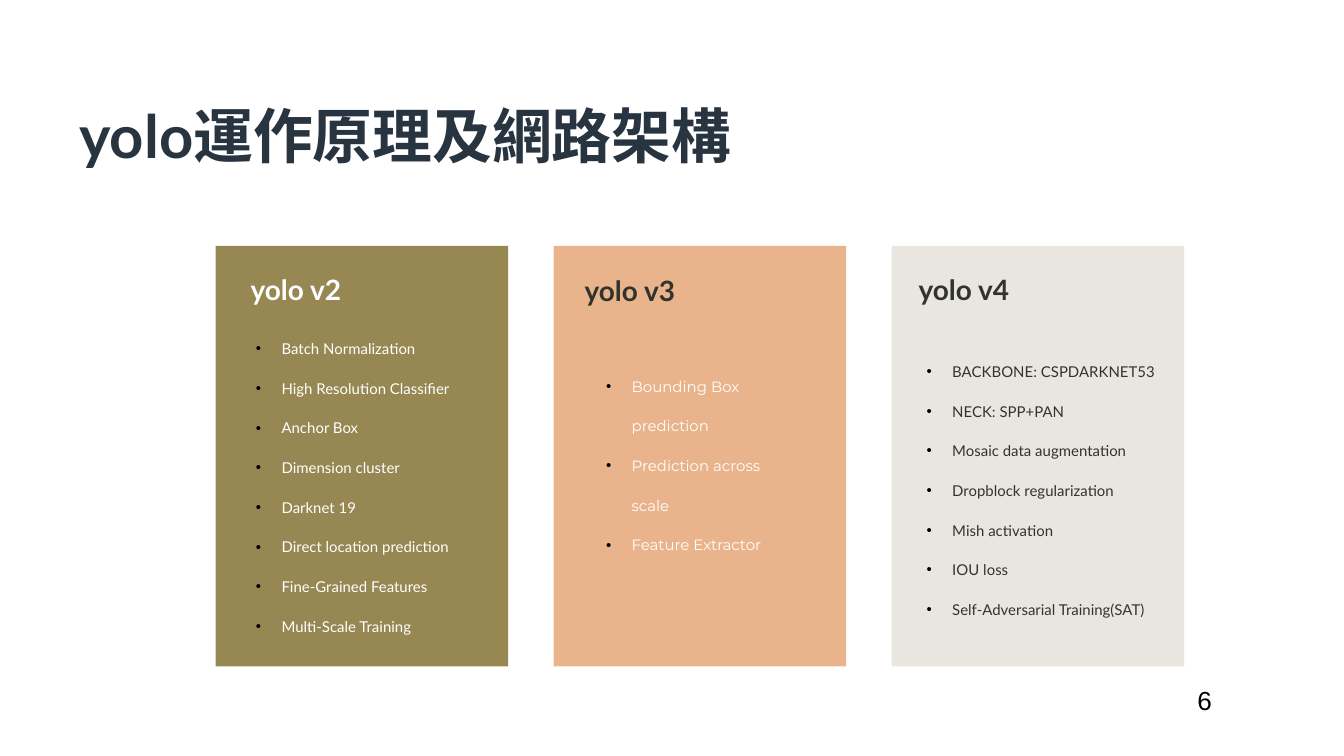
from dataclasses import dataclass

from lxml import etree
from pptx import Presentation
from pptx.dml import color
from pptx.enum import shapes, text
from pptx.oxml import ns
from pptx.util import Emu, Pt

EMU_PER_PX = 4572  # 200 px to the inch
CARD_LEFT, CARD_TOP, CARD_WIDTH, CARD_HEIGHT, CARD_STEP = 321, 366, 435, 626, 503
HEADING_WIDTH, HEADING_HEIGHT = 360, 66
WHITE, DARK, NAVY, BLACK = "FFFFFF", "31342D", "283440", "000000"


@dataclass(frozen=True)
class Area:
    left: int
    top: int
    width: int
    height: int


@dataclass(frozen=True)
class Style:
    size: int
    colour: str
    font: str = "Lato"
    bold: bool = False


@dataclass(frozen=True)
class Card:
    fill: str
    opacity: int
    heading: str
    heading_left: int
    heading_top: int
    heading_colour: str
    list_area: Area
    list_style: Style
    items: tuple[str, ...]


CARDS = (
    Card("978753", 100, "yolo v2", 359, 398, WHITE, Area(359, 465, 378, 494),
         Style(8, WHITE),
         ("Batch Normalization", "High Resolution Classifier", "Anchor Box",
          "Dimension cluster", "Darknet 19", "Direct location prediction",
          "Fine-Grained Features", "Multi-Scale Training")),
    Card("E9B48B", 100, "yolo v3", 856, 399, DARK, Area(880, 521, 314, 314),
         Style(8, WHITE, "Montserrat"),
         ("Bounding Box prediction", "Prediction across scale", "Feature Extractor")),
    Card("D4CFC3", 50, "yolo v4", 1353, 398, DARK, Area(1357, 499, 378, 434),
         Style(8, DARK),
         ("BACKBONE: CSPDARKNET53", "NECK: SPP+PAN", "Mosaic data augmentation",
          "Dropblock regularization", "Mish activation", "IOU loss",
          "Self-Adversarial Training(SAT)")),
)


def px(length: int) -> Emu:
    return Emu(length * EMU_PER_PX)


def rgb(value: str) -> color.RGBColor:
    return color.RGBColor.from_string(value)


def place(area: Area) -> tuple[Emu, ...]:
    return px(area.left), px(area.top), px(area.width), px(area.height)


def add_bullet(para) -> None:
    """Give the paragraph a black bullet, a hanging indent and wide lines."""
    properties = para._p.get_or_add_pPr()
    properties.set("marL", str(px(46)))
    properties.set("indent", str(px(-38)))
    bullet_colour = etree.SubElement(properties, ns.qn("a:buClr"))
    etree.SubElement(bullet_colour, ns.qn("a:srgbClr"), val=BLACK)
    etree.SubElement(properties, ns.qn("a:buFont"), typeface="Arial")
    etree.SubElement(properties, ns.qn("a:buChar"), char="•")
    para.line_spacing = 2.22


def add_text(page, area: Area, lines: tuple[str, ...], style: Style,
             bulleted: bool = False, inset_x: int = 14, inset_y: int = 8) -> None:
    frame = page.shapes.add_textbox(*place(area)).text_frame
    frame.word_wrap = True
    frame.auto_size = text.MSO_AUTO_SIZE.SHAPE_TO_FIT_TEXT
    frame.margin_left = frame.margin_right = px(inset_x)
    frame.margin_top = frame.margin_bottom = px(inset_y)
    frame.text = "\n".join(lines)
    for para in frame.paragraphs:
        if bulleted:
            add_bullet(para)
        for span in para.runs:
            span.font.name = style.font
            span.font.size = Pt(style.size)
            span.font.bold = style.bold
            span.font.color.rgb = rgb(style.colour)


def add_panel(page, area: Area, fill: str, opacity: int) -> None:
    panel = page.shapes.add_shape(shapes.MSO_SHAPE.RECTANGLE, *place(area))
    panel.shadow.inherit = False
    panel.line.fill.background()
    panel.fill.solid()
    panel.fill.fore_color.rgb = rgb(fill)
    if opacity < 100:
        fill_colour = panel._element.spPr.find(f".//{ns.qn('a:srgbClr')}")
        etree.SubElement(fill_colour, ns.qn("a:alpha"), val=str(opacity * 1000))


def add_card(page, card: Card, column: int) -> None:
    left = CARD_LEFT + column * CARD_STEP
    add_panel(page, Area(left, CARD_TOP, CARD_WIDTH, CARD_HEIGHT), card.fill, card.opacity)
    heading_area = Area(card.heading_left, card.heading_top, HEADING_WIDTH, HEADING_HEIGHT)
    add_text(page, heading_area, (card.heading,), Style(15, card.heading_colour, bold=True))
    add_text(page, card.list_area, card.items, card.list_style, bulleted=True)


def main() -> None:
    deck = Presentation()
    deck.slide_width, deck.slide_height = px(2000), px(1125)
    page = deck.slides.add_slide(deck.slide_layouts[6])
    add_text(page, Area(104, 139, 1316, 122), ("yolo運作原理及網路架構",),
             Style(32, NAVY, bold=True))
    for column, card in enumerate(CARDS):
        add_card(page, card, column)
    add_text(page, Area(1762, 1008, 64, 68), ("6",), Style(14, BLACK, "Arial"),
             inset_x=20, inset_y=10)
    deck.save("out.pptx")


if __name__ == "__main__":
    main()
